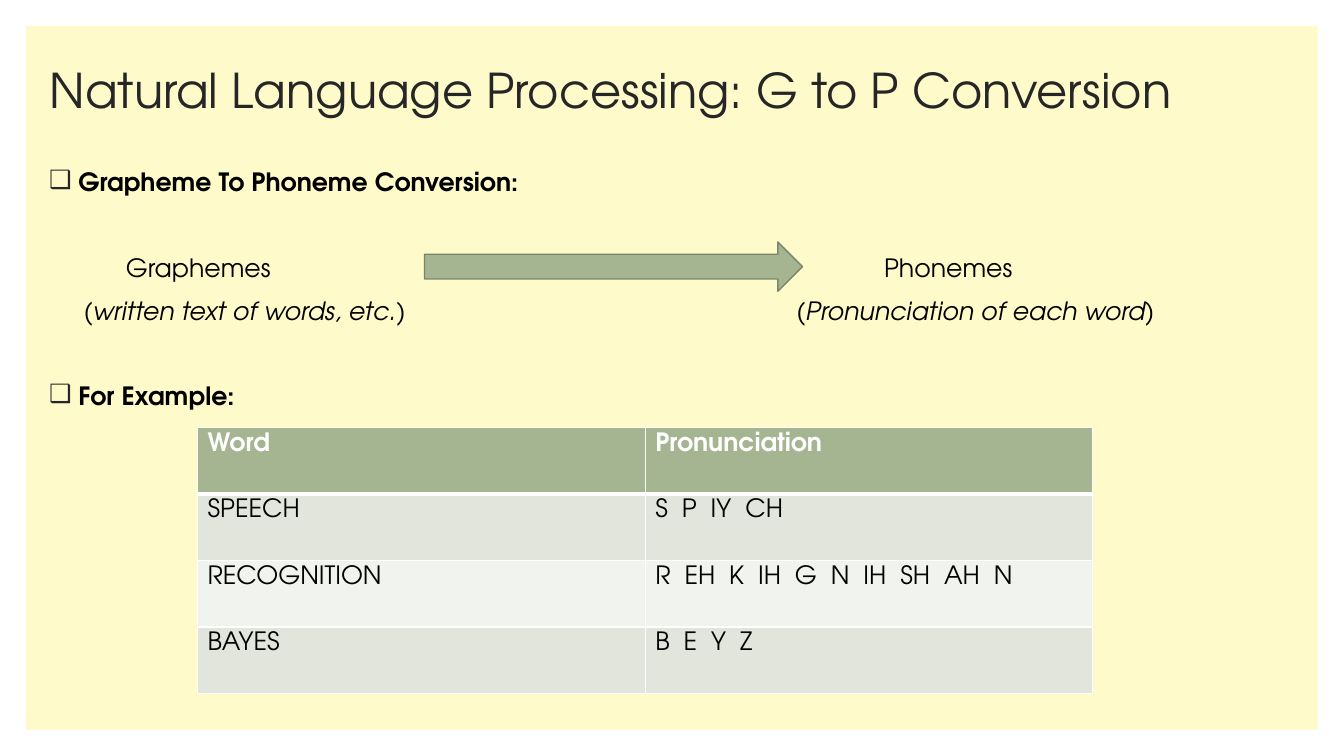
from lxml import etree
from pptx import Presentation, util as u
from pptx.dml.color import RGBColor
from pptx.enum import shapes, text
from pptx.oxml.ns import qn

# Content
TITLE = "Natural Language Processing: G to P Conversion"
HEADINGS = ("Grapheme To Phoneme Conversion:", "For Example:")
TERMS = ("Graphemes", "Phonemes")
MEANINGS = ("written text of words, etc.", "Pronunciation of each word")
TABLE = [
    ("Word", "Pronunciation"),
    ("SPEECH", "S  P  IY  CH"),
    ("RECOGNITION", "R  EH  K  IH  G  N  IH  SH  AH  N"),
    ("BAYES", "B  E  Y  Z"),
]

# Look
FONT = "TeX Gyre Adventor"
COLORS = {"panel": "FEFAC9", "title": "262626", "text": "000000", "white": "FFFFFF",
          "sage": "A5B592", "outline": "7A866C", "odd": "E1E5DC", "even": "F0F3EE"}
BODY_SIZE, GAP = 18, 9
SECTION_GAP = GAP + 30.7  # one further line of text
WIDTH, HEIGHT, MARGIN = 13.33, 7.5, 0.26
LEFT = 0.39
BULLET_INDENT = 0.29
TERM_TABS, MEANING_TABS = (0.76, 8.28), (0.34, 7.41)
COLUMN, ROW = 4.44, 0.66


def color(name):
    return RGBColor.from_string(COLORS[name])


def box(left, top, width, height):
    return [u.Inches(value) for value in (left, top, width, height)]


def style(paragraph, name="text", size=BODY_SIZE, bold=False):
    font = paragraph.font
    font.name, font.size, font.bold = FONT, u.Pt(size), bold
    font.color.rgb = color(name)


def add_fill(parent, name):
    fill = etree.SubElement(parent, qn("a:solidFill"))
    etree.SubElement(fill, qn("a:srgbClr"), val=COLORS[name])


def add_text_frame(left, top, width, height):
    frame = slide.shapes.add_textbox(*box(left, top, width, height)).text_frame
    frame.word_wrap = True
    return frame


def add_plain_shape(kind, place, fill):
    shape = slide.shapes.add_shape(kind, *box(*place))
    shape.shadow.inherit = False
    shape.fill.solid()
    shape.fill.fore_color.rgb = color(fill)
    shape.line.fill.background()
    return shape


def add_heading(paragraph, heading):
    properties = paragraph._p.get_or_add_pPr()
    properties.set("marL", str(u.Inches(BULLET_INDENT)))
    properties.set("indent", str(-u.Inches(BULLET_INDENT)))
    bullet_color = etree.SubElement(properties, qn("a:buClr"))
    etree.SubElement(bullet_color, qn("a:srgbClr"), val=COLORS["title"])
    etree.SubElement(properties, qn("a:buFont"), typeface=FONT)
    etree.SubElement(properties, qn("a:buChar"), char="❑")
    style(paragraph, bold=True)
    paragraph.add_run().text = heading


def add_tabbed(paragraph, stops, pieces):
    """Pieces are (text, italic) pairs, set at the given tab stops."""
    tabs = etree.SubElement(paragraph._p.get_or_add_pPr(), qn("a:tabLst"))
    for stop in stops:
        etree.SubElement(tabs, qn("a:tab"), pos=str(u.Inches(stop)), algn="l")
    style(paragraph)
    for words, italic in pieces:
        run = paragraph.add_run()
        run.text = words
        run.font.italic = italic


def add_borders(cell, is_header, below_header):
    properties = cell._tc.get_or_add_tcPr()
    widths = {"L": 1, "R": 1, "T": 3 if below_header else 1, "B": 3 if is_header else 1}
    for index, (side, width) in enumerate(widths.items()):
        line = etree.Element(qn(f"a:ln{side}"), w=str(u.Pt(width)))
        add_fill(line, "white")
        properties.insert(index, line)


presentation = Presentation()
presentation.slide_width, presentation.slide_height = u.Inches(WIDTH), u.Inches(HEIGHT)
slide = presentation.slides.add_slide(presentation.slide_layouts[6])

# Panel
add_plain_shape(shapes.MSO_SHAPE.RECTANGLE,
                (MARGIN, MARGIN, WIDTH - 2 * MARGIN, HEIGHT - 2 * MARGIN), "panel")

# Title
frame = add_text_frame(LEFT, 0.38, 12.02, 1.09)
frame.vertical_anchor = text.MSO_ANCHOR.MIDDLE
paragraph = frame.paragraphs[0]
paragraph.line_spacing = 0.9
style(paragraph, "title", 34.2)
paragraph.add_run().text = TITLE

# Body
frame = add_text_frame(LEFT, 1.6, 12.6, 5.49)
add_heading(frame.paragraphs[0], HEADINGS[0])
term_line, meaning_line, example_line = (frame.add_paragraph() for _ in range(3))
for paragraph, gap in ((term_line, SECTION_GAP), (meaning_line, GAP), (example_line, SECTION_GAP)):
    paragraph.space_before = u.Pt(gap)
add_tabbed(term_line, TERM_TABS, [("\t" + term, False) for term in TERMS])
add_tabbed(meaning_line, MEANING_TABS,
           [piece for meaning in MEANINGS
            for piece in (("\t(", False), (meaning, True), (")", False))])
add_heading(example_line, HEADINGS[1])

# Arrow from graphemes to phonemes
arrow = add_plain_shape(shapes.MSO_SHAPE.RIGHT_ARROW, (4.21, 2.4, 3.75, 0.49), "sage")
arrow.line.color.rgb = color("outline")
arrow.line.width = u.Pt(1)

# Example table
table = slide.shapes.add_table(len(TABLE), 2, *box(1.96, 4.24, 2 * COLUMN, len(TABLE) * ROW)).table
for row, entries in enumerate(TABLE):
    is_header = row == 0
    fill = "sage" if is_header else "odd" if row % 2 else "even"
    for column, entry in enumerate(entries):
        cell = table.cell(row, column)
        cell.fill.solid()
        cell.fill.fore_color.rgb = color(fill)
        add_borders(cell, is_header, row == 1)
        paragraph = cell.text_frame.paragraphs[0]
        style(paragraph, "white" if is_header else "text", bold=is_header)
        paragraph.add_run().text = entry

presentation.save("out.pptx")
